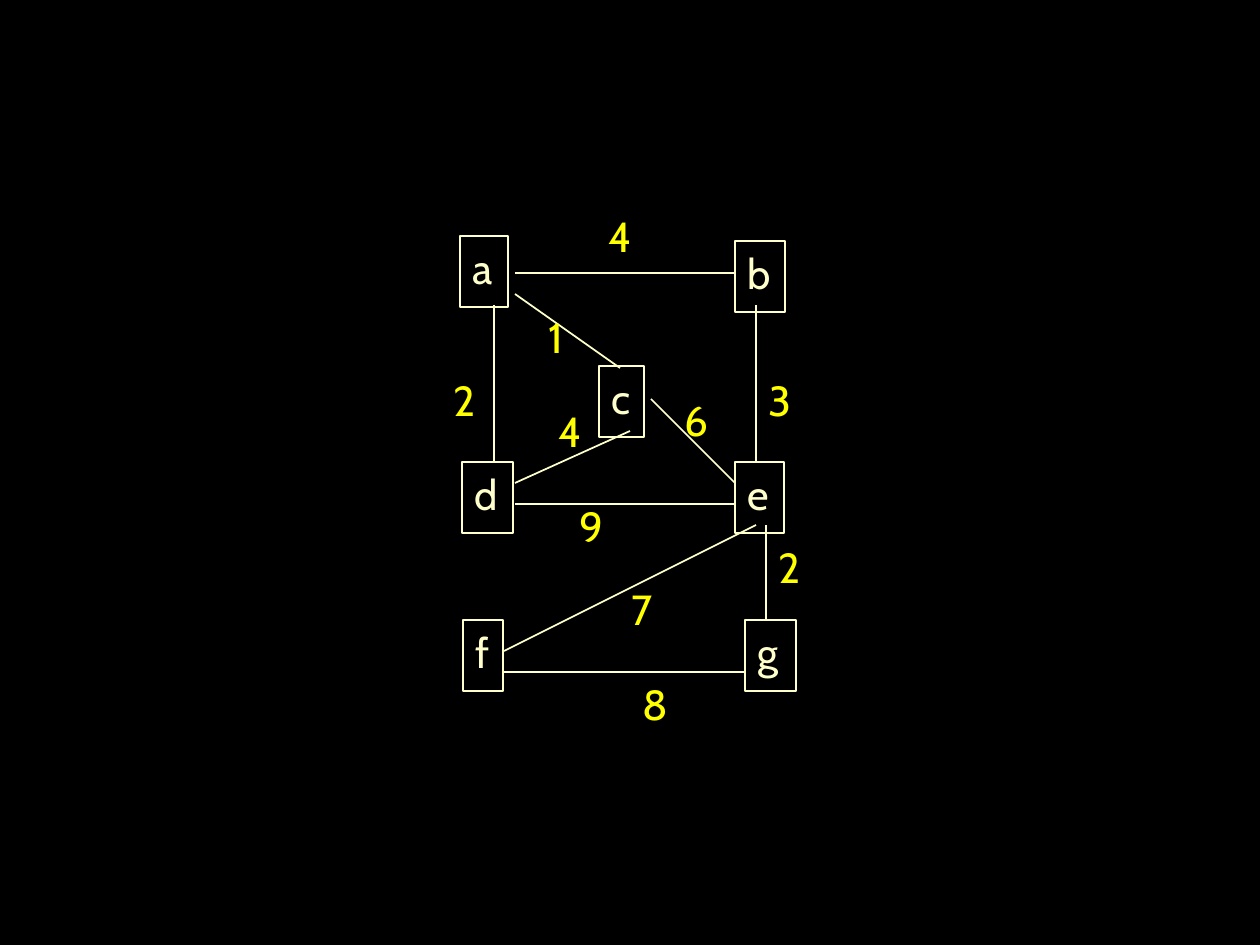
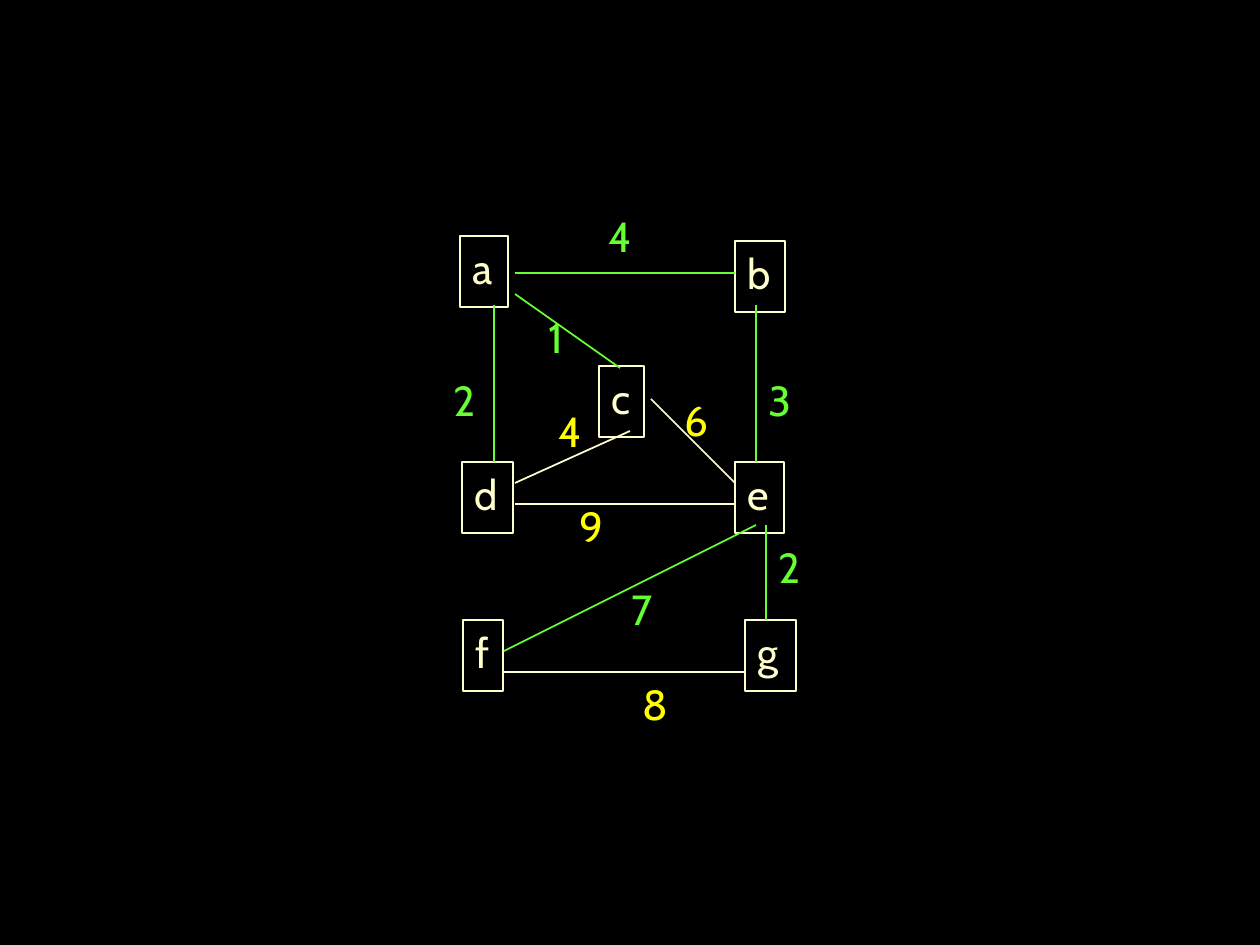
from dataclasses import dataclass

from lxml import etree
from pptx import Presentation
from pptx.dml.color import RGBColor
from pptx.enum.shapes import MSO_CONNECTOR, MSO_SHAPE
from pptx.enum.text import MSO_ANCHOR, MSO_AUTO_SIZE, PP_ALIGN
from pptx.oxml.ns import qn
from pptx.util import Emu, Pt

RECT = MSO_SHAPE.RECTANGLE
LINE = MSO_CONNECTOR.STRAIGHT
LEFT, TOP = PP_ALIGN.LEFT, MSO_ANCHOR.TOP
GROW = MSO_AUTO_SIZE.SHAPE_TO_FIT_TEXT


@dataclass(frozen=True)
class Theme:
    back: RGBColor = RGBColor.from_string("000000")
    ink: RGBColor = RGBColor.from_string("FFFFCC")
    cost: RGBColor = RGBColor.from_string("FFFF00")
    tree: RGBColor = RGBColor.from_string("66FF33")
    font: str = "Cabin"
    size: int = 24
    rule: int = 1


THEME = Theme()
WIDE, HIGH = 1260, 945
GRAPH = (441, 204)  # left and top of the graph
TALL = 71  # height of a node or a label
LABEL = 49  # width of a label

# Node: left, top, width
NODES = {
    "a": (19, 32, 48),
    "b": (294, 37, 50),
    "d": (21, 258, 51),
    "c": (158, 162, 45),
    "e": (294, 258, 49),
    "f": (22, 416, 40),
    "g": (304, 416, 51),
}

# Edge: start, end, cost, place of the cost
EDGES = {
    "ce": ((210, 195), (294, 279), 6, (231, 184)),
    "ad": ((53, 101), (53, 258), 2, (0, 164)),
    "ab": ((74, 69), (294, 69), 4, (155, 0)),
    "de": ((294, 300), (74, 300), 9, (126, 290)),
    "be": ((315, 101), (315, 258), 3, (315, 164)),
    "ac": ((74, 90), (179, 164), 1, (95, 101)),
    "cd": ((74, 279), (189, 227), 4, (105, 195)),
    "ef": ((315, 321), (63, 447), 7, (178, 373)),
    "eg": ((325, 416), (325, 321), 2, (325, 331)),
    "fg": ((63, 468), (305, 468), 8, (189, 468)),
}

# Edges of the spanning tree
TREE = {"ab", "ac", "ad", "be", "ef", "eg"}


def px(num):
    return Emu(round(num * 914400 / 126))


def shift(box, spot):
    return [px(base + step) for base, step in zip(box, spot)]


def write(shape, text, tint):
    frame = shape.text_frame
    frame.word_wrap = False
    frame.auto_size = GROW
    frame.vertical_anchor = TOP
    para = frame.paragraphs[0]
    para.alignment = LEFT
    run = para.add_run()
    run.text = text
    run.font.name = THEME.font
    run.font.size = Pt(THEME.size)
    run.font.color.rgb = tint


def stroke(line, tint):
    line.color.rgb = tint
    line.width = Pt(THEME.rule)


def add_node(slide, box, name):
    left, top, width = NODES[name]
    node = slide.shapes.add_shape(
        RECT, *shift(box, (left, top)), px(width), px(TALL))
    node.shadow.inherit = False
    node.fill.background()
    stroke(node.line, THEME.ink)
    write(node, name, THEME.ink)


def add_edge(slide, box, start, end, tint):
    edge = slide.shapes.add_connector(
        LINE, *shift(box, start), *shift(box, end))
    stroke(edge.line, tint)
    etree.SubElement(edge._element.spPr, qn("a:effectLst"))


def add_cost(slide, box, spot, cost, tint):
    label = slide.shapes.add_textbox(*shift(box, spot), px(LABEL), px(TALL))
    write(label, str(cost), tint)


def draw_graph(slide, box, tree):
    for name in NODES:
        add_node(slide, box, name)
    for name, (start, end, cost, spot) in EDGES.items():
        chosen = name in tree
        add_edge(slide, box, start, end, THEME.tree if chosen else THEME.ink)
        add_cost(slide, box, spot, cost, THEME.tree if chosen else THEME.cost)


def add_slide(deck, tree):
    slide = deck.slides.add_slide(deck.slide_layouts[6])
    fill = slide.background.fill
    fill.solid()
    fill.fore_color.rgb = THEME.back
    draw_graph(slide, GRAPH, tree)


def main():
    deck = Presentation()
    deck.slide_width, deck.slide_height = px(WIDE), px(HIGH)
    # Plain graph, then the same graph with its tree marked
    for tree in (set(), TREE):
        add_slide(deck, tree)
    deck.save("out.pptx")


if __name__ == "__main__":
    main()
